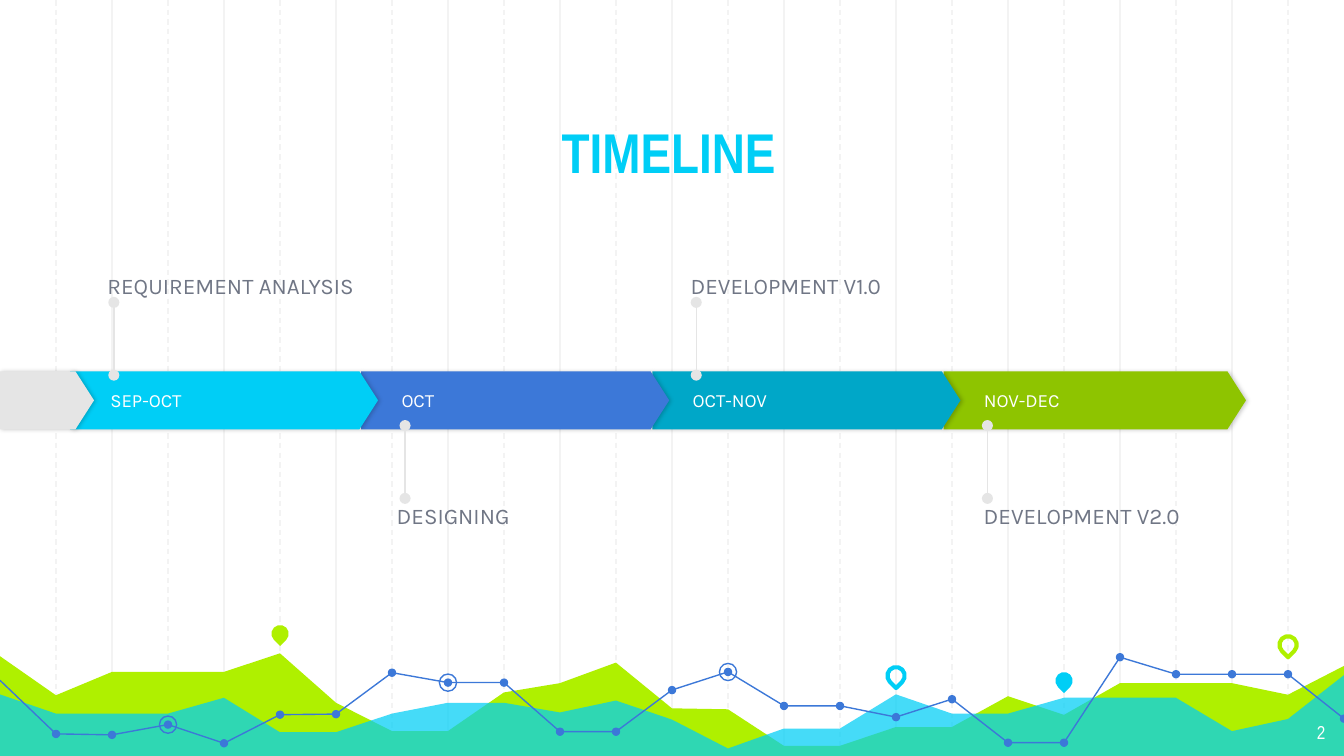
"""Build a project timeline slide with a chart-like decorative footer."""
from lxml import etree
from pptx import Presentation
from pptx.dml.color import RGBColor
from pptx.enum.dml import MSO_LINE
from pptx.enum.shapes import MSO_CONNECTOR, MSO_SHAPE
from pptx.enum.text import MSO_ANCHOR, PP_ALIGN
from pptx.oxml.ns import qn
from pptx.util import Pt

DASH = MSO_LINE.DASH
STRAIGHT = MSO_CONNECTOR.STRAIGHT
OVAL, PENTAGON, TEAR = MSO_SHAPE.OVAL, MSO_SHAPE.PENTAGON, MSO_SHAPE.TEAR
TOP, MIDDLE, BOTTOM = MSO_ANCHOR.TOP, MSO_ANCHOR.MIDDLE, MSO_ANCHOR.BOTTOM
LEFT, CENTER, RIGHT = PP_ALIGN.LEFT, PP_ALIGN.CENTER, PP_ALIGN.RIGHT

HEADING, BODY = "Arial Narrow", "Karla"
CYAN, LIME, BLUE, TEAL, GREEN = "00CEF6", "AFF000", "3C78D8", "00A7C8", "8EC400"
WHITE, GRID, GREY, SLATE = "FFFFFF", "F3F3F3", "E5E5E5", "707685"

WIDTH, HEIGHT, STEP = 720, 405, 30
BAR_TOP, BAR_H, BAR_X, BAR_STEP = 199, 31, 37.5, 156

LIME_AREA = [(0, 350.5), (1, 372.5), (2, 360), (4, 360), (5, 350), (6, 376.5),
             (7, 391.7), (8, 391.7), (9, 371), (10, 366), (11, 355), (12, 379.5),
             (13, 380), (14, 399.6), (15, 399.6), (16, 389.5), (17, 389.5),
             (18, 373), (19, 383), (20, 366), (22, 366), (23, 372.2), (24, 356)]
CYAN_AREA = [(0, 371.5), (1, 382.3), (3, 382.3), (4, 373.8), (5, 392.3),
             (6, 392.3), (7, 382.3), (8, 376.5), (9, 376.5), (10, 381.7),
             (11, 375.3), (12, 385.5), (13, 401), (14, 390.3), (15, 390.3),
             (16, 372), (17, 382.3), (18, 382.3), (19, 373.8), (21, 373.8),
             (22, 391.7), (23, 385.2), (24, 360.5)]
TREND = list(enumerate([
    364.5, 393.2, 393.7, 388.2, 398.2, 382.9, 382.6, 360.4, 365.7, 365.7, 392,
    392, 369.7, 360, 378.2, 378.2, 384.2, 374.6, 397.9, 397.9, 352.1, 361.2,
    361.2, 361.2, 385]))
TREND_BREAKS = [0, 11, 20, 24]
RINGED = [3, 8, 13]
PINS = [(5, 339.5, LIME, True), (16, 362, CYAN, False),
        (19, 364.7, CYAN, True), (23, 345.5, LIME, False)]
PHASES = [("SEP-OCT", CYAN, 165, "REQUIREMENT ANALYSIS", 57.6, 136, True),
          ("OCT", BLUE, 165, "DESIGNING", 212.5, 99, False),
          ("OCT-NOV", TEAL, 165, "DEVELOPMENT V1.0", 370, 108, True),
          ("NOV-DEC", GREEN, 162, "DEVELOPMENT V2.0", 527, 112, False)]


def rgb(color):
    return RGBColor.from_string(color)


class Deck:
    def __init__(self):
        self.prs = Presentation()
        self.prs.slide_width, self.prs.slide_height = Pt(WIDTH), Pt(HEIGHT)
        self.s = self.prs.slides.add_slide(self.prs.slide_layouts[6])

    def paint(self, sp, fill=None, line=None, weight=0.75, alpha=None):
        sp.shadow.inherit = False
        if fill:
            sp.fill.solid()
            sp.fill.fore_color.rgb = rgb(fill)
        else:
            sp.fill.background()
        if line:
            sp.line.color.rgb = rgb(line)
            sp.line.width = Pt(weight)
        else:
            sp.line.fill.background()
        if alpha:
            color = sp.element.spPr.find(qn("a:solidFill"))[0]
            etree.SubElement(color, qn("a:alpha"), val=str(alpha * 1000))
        return sp

    def shape(self, kind, x, y, w, h, **style):
        sp = self.s.shapes.add_shape(kind, Pt(x), Pt(y), Pt(w), Pt(h))
        return self.paint(sp, **style)

    def dot(self, x, y, size, kind=OVAL, **style):
        return self.shape(kind, x - size / 2, y - size / 2, size, size, **style)

    def pin(self, x, y, color, solid):
        style = {"fill": color} if solid else {"line": color, "weight": 2.25}
        self.dot(x, y, 9.3, TEAR, **style).rotation = 135

    def outline(self, points, close, **style):
        pts = [(Pt(x), Pt(y)) for x, y in points]
        builder = self.s.shapes.build_freeform(*pts[0])
        builder.add_line_segments(pts[1:], close=close)
        return self.paint(builder.convert_to_shape(), **style)

    def area(self, values, **style):
        top = [(step * STEP, y) for step, y in values]
        top[0], top[-1] = (-1.5, top[0][1]), (WIDTH + 1.5, top[-1][1])
        self.outline(top + [(WIDTH + 1.5, 406.5), (-1.5, 406.5)], True, **style)

    def line(self, x, y1, y2, color, dash=None, ends=None):
        c = self.s.shapes.add_connector(STRAIGHT, Pt(x), Pt(y1), Pt(x), Pt(y2))
        c.line.color.rgb = rgb(color)
        c.line.width = Pt(0.75)
        if dash:
            c.line.dash_style = dash
        if ends:
            ln = c.element.spPr.find(qn("a:ln"))
            for tag in ("a:headEnd", "a:tailEnd"):
                etree.SubElement(ln, qn(tag), type=ends)
        etree.SubElement(c.element.spPr, qn("a:effectLst"))

    def label(self, sp, text, size, font, color, align=LEFT, anchor=TOP,
              inset=(0, 0, 0, 0), bold=False):
        tf = sp.text_frame
        tf.word_wrap = True
        tf.vertical_anchor = anchor
        tf.margin_left, tf.margin_top, tf.margin_right, tf.margin_bottom = map(Pt, inset)
        p = tf.paragraphs[0]
        p.alignment = align
        r = p.add_run()
        r.text = text
        r.font.size, r.font.name, r.font.bold = Pt(size), font, bold
        r.font.color.rgb = rgb(color)

    def text(self, x, y, w, h, *args, **style):
        box = self.s.shapes.add_textbox(Pt(x), Pt(y), Pt(w), Pt(h))
        self.label(box, *args, **style)

    def bar(self, x, w, color, text=None):
        sp = self.shape(PENTAGON, x, BAR_TOP, w, BAR_H, fill=color)
        sp.adjustments[0] = 0.32
        shadow = etree.SubElement(sp.element.spPr.find(qn("a:effectLst")), qn("a:outerShdw"),
                                  blurRad=str(Pt(2.2)), dist=str(Pt(0.8)), dir="0")
        black = etree.SubElement(shadow, qn("a:srgbClr"), val="000000")
        etree.SubElement(black, qn("a:alpha"), val="20000")
        if text:
            self.label(sp, text, 10, BODY, WHITE, anchor=MIDDLE, inset=(21.6, 0, 0, 0))

    def callout(self, x, text, text_x, w, above):
        if above:
            start, end, top, anchor = 201, 162, 118, BOTTOM
        else:
            start, end, top, anchor = 267, 228, 269.3, TOP
        self.line(x, start, end, GREY, ends="oval")
        self.text(text_x, top, w, 42, text, 12, BODY, SLATE, anchor=anchor)


def main():
    deck = Deck()
    for first, dash in ((2, None), (1, DASH)):
        for step in range(first, 24, 2):
            deck.line(step * STEP, 0, 407, GRID, dash=dash)

    deck.area(LIME_AREA, fill=LIME)
    deck.area(CYAN_AREA, fill=CYAN, alpha=73)
    for step, y, color, solid in PINS:
        deck.pin(step * STEP, y, color, solid)
    for start, end in zip(TREND_BREAKS, TREND_BREAKS[1:]):
        points = [(step * STEP, y) for step, y in TREND[start:end + 1]]
        deck.outline(points, False, line=BLUE)
    for step, y in TREND[1:]:
        deck.dot(step * STEP, y, 4.5, fill=BLUE)
    for step in RINGED:
        deck.dot(step * STEP, TREND[step][1], 9.2, line=BLUE)

    deck.text(82.8, 49.7, 550.8, 56.2, "TIMELINE", 30, HEADING, CYAN, align=CENTER,
              anchor=BOTTOM, inset=(7.2,) * 4, bold=True)
    deck.text(674, 380, 43, 25, "2", 10, HEADING, WHITE, align=RIGHT, inset=(7.2,) * 4)

    phases = [(BAR_X + i * BAR_STEP, *phase) for i, phase in enumerate(PHASES)]
    for x, period, color, w, *_ in reversed(phases):
        deck.bar(x, w, color, period)
    deck.bar(0, 50.4, GREY)
    for x, _, _, _, *callout in phases:
        deck.callout(x + 23.5, *callout)

    deck.prs.save("out.pptx")


if __name__ == "__main__":
    main()
